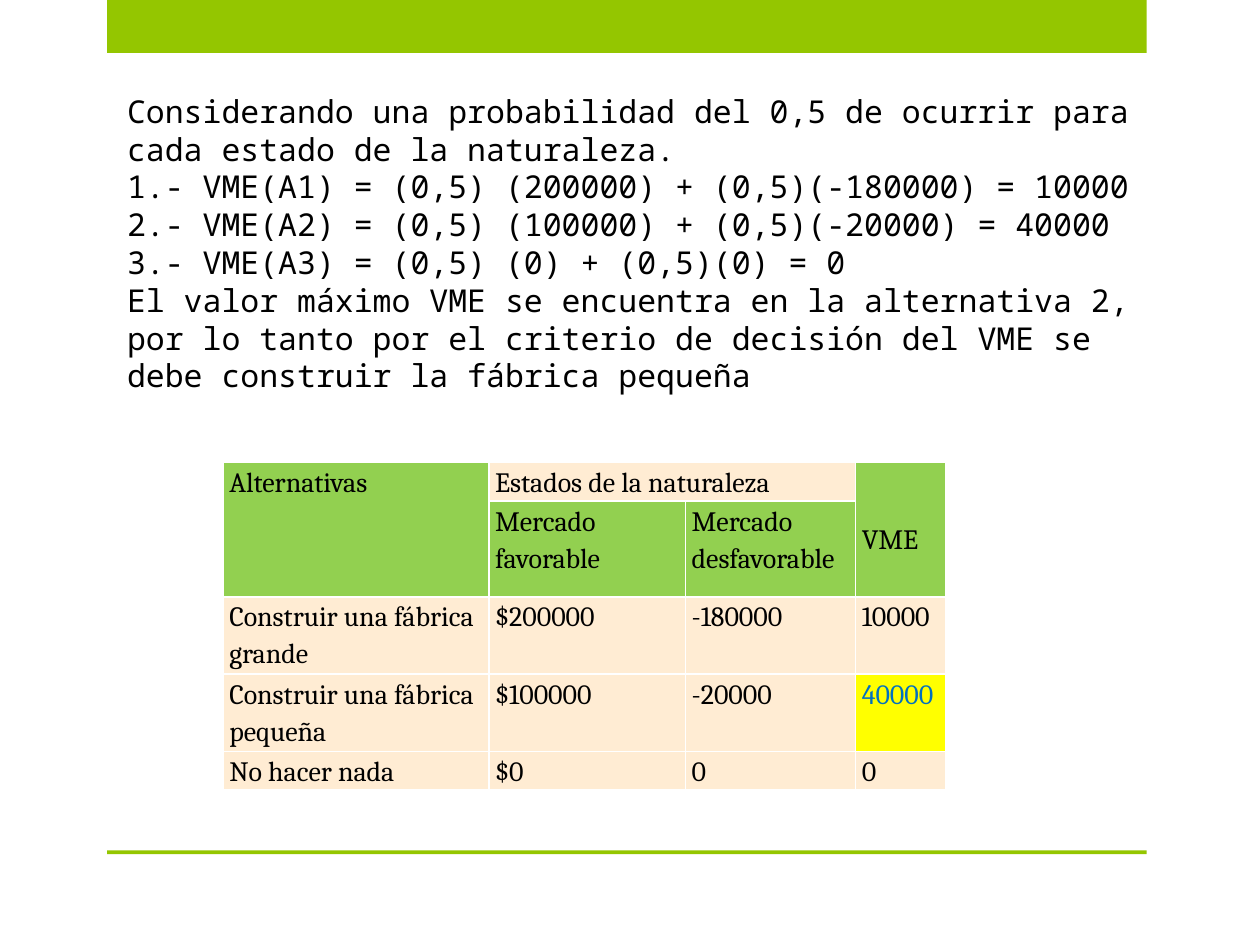
from dataclasses import dataclass
from lxml import etree
from pptx import Presentation
from pptx.dml.color import RGBColor
from pptx.enum.shapes import MSO_SHAPE
from pptx.enum.text import MSO_ANCHOR
from pptx.oxml.ns import qn
from pptx.util import Inches, Pt

RECT = MSO_SHAPE.RECTANGLE
MIDDLE = MSO_ANCHOR.MIDDLE


@dataclass(frozen=True)
class Theme:
    bar: str = "94C600"
    head: str = "92D050"
    cell: str = "FFECD3"
    mark: str = "FFFF00"
    blue: str = "0070C0"
    ink: str = "000000"
    edge: str = "FFFFFF"
    mono: str = "Noto Sans Mono"
    serif: str = "Cambria"
    body: int = 18
    grid: int = 16


THEME = Theme()

LINES = [
    "Considerando una probabilidad del 0,5 de ocurrir para cada estado de la naturaleza.",
    "1.- VME(A1) = (0,5) (200000) + (0,5)(-180000) = 10000",
    "2.- VME(A2) = (0,5) (100000) + (0,5)(-20000) = 40000",
    "3.- VME(A3) = (0,5) (0) + (0,5)(0) = 0",
    "El valor máximo VME se encuentra en la alternativa 2, por lo tanto por el "
    "criterio de decisión del VME se debe construir la fábrica pequeña",
]

ROWS = [
    ["Alternativas", "Estados de la naturaleza", "", "VME"],
    ["", "Mercado favorable", "Mercado desfavorable", ""],
    ["Construir una fábrica grande", "$200000", "-180000", "10000"],
    ["Construir una fábrica pequeña", "$100000", "-20000", "40000"],
    ["No hacer nada", "$0", "0", "0"],
]
WIDTHS = [2.11, 1.56, 1.35, 0.72]
HEIGHTS = [0.3, 0.76, 0.61, 0.61, 0.3]
MERGES = [((0, 0), (1, 0)), ((0, 1), (0, 2)), ((0, 3), (1, 3))]
GREEN = {(0, 0), (0, 3), (1, 0), (1, 1), (1, 2), (1, 3)}
BEST = (3, 3)


def assign(item, values):
    for name, value in values.items():
        setattr(item, name, value)


def style(font, face, size, color):
    assign(font, {"name": face, "size": Pt(size)})
    font.color.rgb = RGBColor.from_string(color)


def add_bar(slide, box):
    bar = slide.shapes.add_shape(RECT, *map(Inches, box))
    bar.shadow.inherit = False
    bar.fill.solid()
    bar.fill.fore_color.rgb = RGBColor.from_string(THEME.bar)
    bar.line.fill.background()


def add_body(slide, box):
    frame = slide.shapes.add_textbox(*map(Inches, box)).text_frame
    frame.word_wrap = True
    frame.text = "\n".join(LINES)
    for para in frame.paragraphs:
        style(para.font, THEME.mono, THEME.body, THEME.ink)


def add_edges(cell):
    props = cell._tc.get_or_add_tcPr()
    for side in ("lnL", "lnR", "lnT", "lnB"):
        line = etree.SubElement(props, qn(f"a:{side}"), w=str(Pt(1)))
        fill = etree.SubElement(line, qn("a:solidFill"))
        etree.SubElement(fill, qn("a:srgbClr"), val=THEME.edge)


def fill_cell(cell, text, back, color):
    add_edges(cell)
    cell.fill.solid()
    cell.fill.fore_color.rgb = RGBColor.from_string(back)
    assign(cell, {"margin_left": Inches(0.05), "margin_right": Inches(0.05),
                  "margin_top": 0, "margin_bottom": 0})
    cell.text = text
    para = cell.text_frame.paragraphs[0]
    para.line_spacing = 1.15
    style(para.font, THEME.serif, THEME.grid, color)


def add_grid(slide, box):
    shape = slide.shapes.add_table(len(ROWS), len(WIDTHS), *map(Inches, box))
    table = shape.table
    for col, width in zip(table.columns, WIDTHS):
        col.width = Inches(width)
    for row, height in zip(table.rows, HEIGHTS):
        row.height = Inches(height)
    for r, row in enumerate(ROWS):
        for c, text in enumerate(row):
            back = THEME.head if (r, c) in GREEN else THEME.cell
            color = THEME.ink
            if (r, c) == BEST:
                back, color = THEME.mark, THEME.blue
            fill_cell(table.cell(r, c), text, back, color)
    for start, end in MERGES:
        table.cell(*start).merge(table.cell(*end))
    # VME sits just below the middle of its merged cell
    assign(table.cell(0, 3), {"vertical_anchor": MIDDLE, "margin_top": Inches(0.14)})


def main():
    deck = Presentation()
    assign(deck, {"slide_width": Inches(10), "slide_height": Inches(7.5)})
    slide = deck.slides.add_slide(deck.slide_layouts[6])
    # Top and bottom bars
    add_bar(slide, (0.85, 0, 8.25, 0.42))
    add_bar(slide, (0.85, 6.75, 8.25, 0.03))
    # Worked values and decision table
    add_body(slide, (0.91, 0.68, 8.19, 2.52))
    add_grid(slide, (1.77, 3.67, sum(WIDTHS), sum(HEIGHTS)))
    deck.save("out.pptx")


if __name__ == "__main__":
    main()
